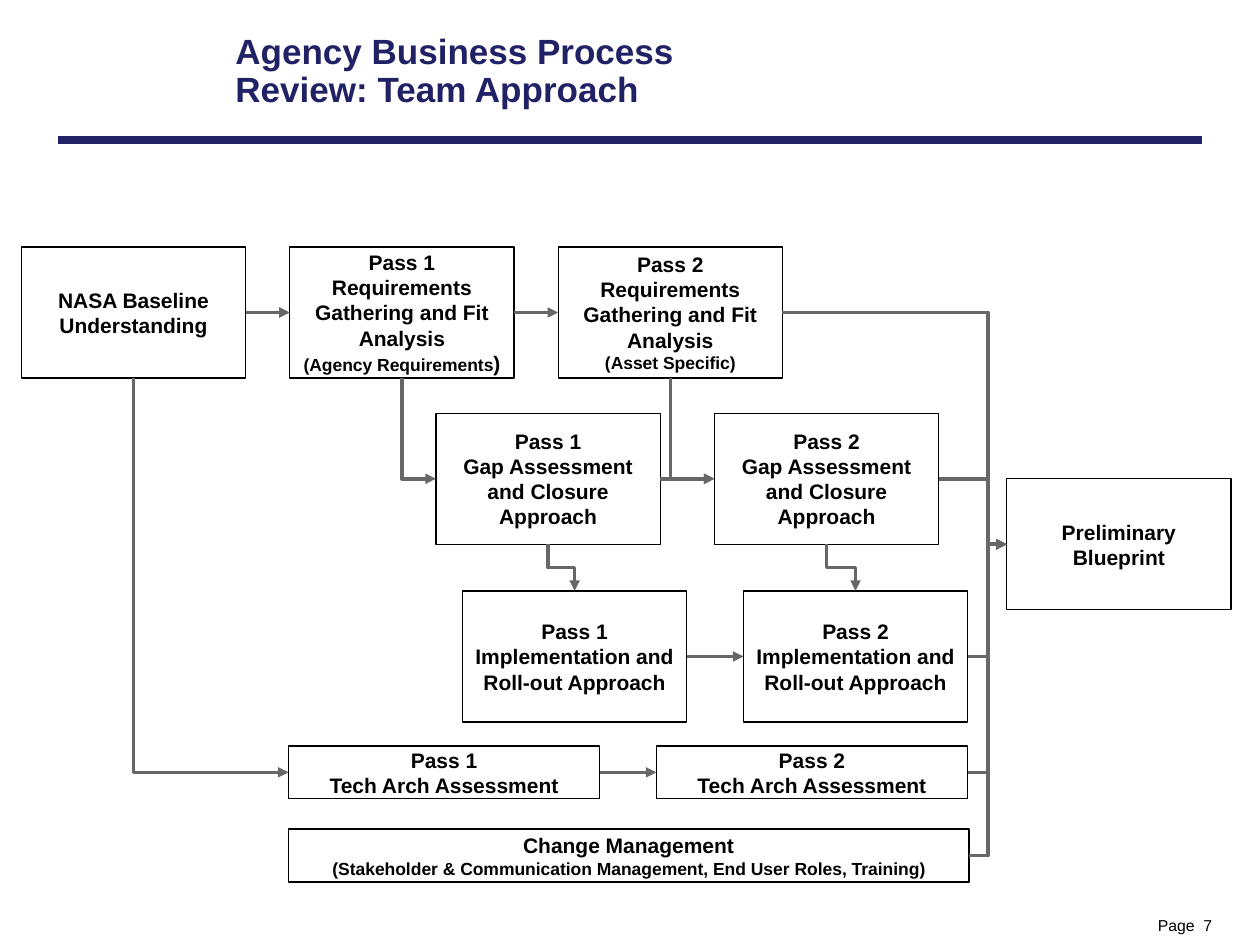
"""Build the Agency Business Process Review team approach slide."""
from lxml import etree
from pptx import Presentation
from pptx.dml.color import RGBColor
from pptx.enum.shapes import MSO_CONNECTOR, MSO_SHAPE
from pptx.enum.text import MSO_ANCHOR, PP_ALIGN
from pptx.oxml.ns import qn
from pptx.util import Inches, Pt

STRAIGHT, ELBOW = MSO_CONNECTOR.STRAIGHT, MSO_CONNECTOR.ELBOW
RECT = MSO_SHAPE.RECTANGLE
LEFT, CENTER = PP_ALIGN.LEFT, PP_ALIGN.CENTER
MIDDLE, BOTTOM = MSO_ANCHOR.MIDDLE, MSO_ANCHOR.BOTTOM
SIDE_LEFT, SIDE_BOTTOM, SIDE_RIGHT = 1, 2, 3

THEME = {
    "font": "Arial", "navy": "212165", "black": "000000", "white": "FFFFFF", "gray": "676767",
    "title": 20, "body": 12, "small": 10, "page": 9,
    "rule": 4.5, "border": 0.75, "link": 2,
}

TITLE = [[("Agency Business Process\vReview: Team Approach", "title")]]
PAGE = [[("Page  7", "page")]]

ROWS = {
    "requirements": (1.96, 1.04), "gap": (3.28, 1.04), "blueprint": (3.8, 1.04),
    "rollout": (4.69, 1.04), "tech": (5.92, 0.42), "change": (6.58, 0.42),
}
BOX_W, TECH_W, CHANGE_W = 1.78, 2.47, 5.4
BUS_X = 7.84

REQUIREMENTS = "Requirements Gathering and Fit Analysis"
GAP = "Gap Assessment and Closure Approach"
ROLLOUT = "Implementation and Roll-out Approach"
TECH = "Tech Arch Assessment"


def lines(*texts):
    return [[(text, "body")] for text in texts]


BOXES = {
    "baseline": ("requirements", 0.17, BOX_W, lines("NASA Baseline", "Understanding")),
    "req1": ("requirements", 2.3, BOX_W, lines("Pass 1", REQUIREMENTS)
             + [[("(Agency Requirements", "small"), (")", "body")]]),
    "req2": ("requirements", 4.43, BOX_W, lines("Pass 2", REQUIREMENTS)
             + [[("(Asset Specific)", "small")]]),
    "gap1": ("gap", 3.46, BOX_W, lines("Pass 1", GAP)),
    "gap2": ("gap", 5.67, BOX_W, lines("Pass 2", GAP)),
    "roll1": ("rollout", 3.67, BOX_W, lines("Pass 1", ROLLOUT)),
    "roll2": ("rollout", 5.9, BOX_W, lines("Pass 2", ROLLOUT)),
    "tech1": ("tech", 2.29, TECH_W, lines("Pass 1", TECH)),
    "tech2": ("tech", 5.21, TECH_W, lines("Pass 2", TECH)),
    "change": ("change", 2.29, CHANGE_W, lines("Change Management") + [
        [("(Stakeholder & Communication Management, End User Roles, Training)", "small")]]),
    "blueprint": ("blueprint", 7.99, BOX_W, lines("Preliminary Blueprint")),
}

ACROSS = [("baseline", "req1"), ("req1", "req2"), ("gap1", "gap2"),
          ("roll1", "roll2"), ("tech1", "tech2")]
DOWN_ACROSS = [("req1", "gap1"), ("req2", "gap2"), ("baseline", "tech1")]
DOWN = [("gap1", "roll1"), ("gap2", "roll2")]
TO_BLUEPRINT = ["req2", "gap2", "roll2", "tech2", "change"]


def color(name):
    return RGBColor.from_string(THEME[name])


def write(sp, paragraphs, ink, bold, align, **frame):
    tf = sp.text_frame
    for name, value in frame.items():
        setattr(tf, name, value)
    for i, runs in enumerate(paragraphs):
        p = tf.add_paragraph() if i else tf.paragraphs[0]
        p.alignment = align
        for text, size in runs:
            if "\v" in text:
                p.text = text
                targets = p.runs
            else:
                r = p.add_run()
                r.text = text
                targets = [r]
            look = {"name": THEME["font"], "size": Pt(THEME[size]), "bold": bold}
            for r in targets:
                for name, value in look.items():
                    setattr(r.font, name, value)
                r.font.color.rgb = color(ink)
    return tf


def add_text(s, place, *args, **frame):
    sp = s.shapes.add_textbox(*map(Inches, place))
    return write(sp, *args, **frame)


def add_box(s, row, left, width, paragraphs):
    top, height = ROWS[row]
    sp = s.shapes.add_shape(RECT, *map(Inches, (left, top, width, height)))
    sp.shadow.inherit = False
    sp.fill.solid()
    sp.fill.fore_color.rgb = color("white")
    sp.line.color.rgb = color("black")
    sp.line.width = Pt(THEME["border"])
    write(sp, paragraphs, "black", True, CENTER, word_wrap=True, vertical_anchor=MIDDLE)
    return sp


def add_line(s, kind, ends, ink, width):
    c = s.shapes.add_connector(kind, *ends)
    c.line.color.rgb = color(ink)
    c.line.width = Pt(THEME[width])
    etree.SubElement(c.element.spPr, qn("a:effectLst"))
    return c


def link(s, kind, start, start_side, end, end_side):
    c = add_line(s, kind, (0, 0, 0, 0), "gray", "link")
    c.begin_connect(start, start_side)
    c.end_connect(end, end_side)
    etree.SubElement(c.line._get_or_add_ln(), qn("a:tailEnd"), type="triangle")
    return c


def turn_down(c):
    dx, dy = c.width, c.height
    c.left, c.top = c.left + (dx - dy) // 2, c.top + (dy - dx) // 2
    c.width, c.height = dy, dx
    xfrm = c.element.spPr.find(qn("a:xfrm"))
    xfrm.set("rot", "16200000")
    xfrm.set("flipH", "1")


def main():
    prs = Presentation()
    prs.slide_width, prs.slide_height = Inches(10), Inches(7.5)
    s = prs.slides.add_slide(prs.slide_layouts[6])

    add_line(s, STRAIGHT, map(Inches, (0.46, 1.11, 9.54, 1.11)), "navy", "rule")
    add_text(s, (9.19, 7.27, 0.93, 0.15), PAGE, "black", False, LEFT, word_wrap=False,
             vertical_anchor=BOTTOM, margin_left=0, margin_top=0, margin_right=0, margin_bottom=0)
    tf = add_text(s, (1.77, 0.27, 5.65, 0.61), TITLE, "navy", True, LEFT,
                  word_wrap=True, vertical_anchor=MIDDLE)
    tf.paragraphs[0].line_spacing = 0.9

    boxes = {name: add_box(s, *box) for name, box in BOXES.items()}
    for a, b in ACROSS:
        link(s, STRAIGHT, boxes[a], SIDE_RIGHT, boxes[b], SIDE_LEFT)
    for a, b in DOWN_ACROSS:
        c = link(s, ELBOW, boxes[a], SIDE_BOTTOM, boxes[b], SIDE_LEFT)
        turn_down(c)
        c.element.spPr.find(qn("a:prstGeom")).set("prst", "bentConnector2")
    for a, b in DOWN:
        turn_down(link(s, ELBOW, boxes[a], SIDE_BOTTOM, boxes[b], 0))
    for a in TO_BLUEPRINT:
        c = link(s, ELBOW, boxes[a], SIDE_RIGHT, boxes["blueprint"], SIDE_LEFT)
        bend = round(100000 * (Inches(BUS_X) - c.begin_x) / (c.end_x - c.begin_x))
        guides = c.element.spPr.find(qn("a:prstGeom")).find(qn("a:avLst"))
        etree.SubElement(guides, qn("a:gd"), name="adj1", fmla=f"val {bend}")

    prs.save("out.pptx")


if __name__ == "__main__":
    main()
